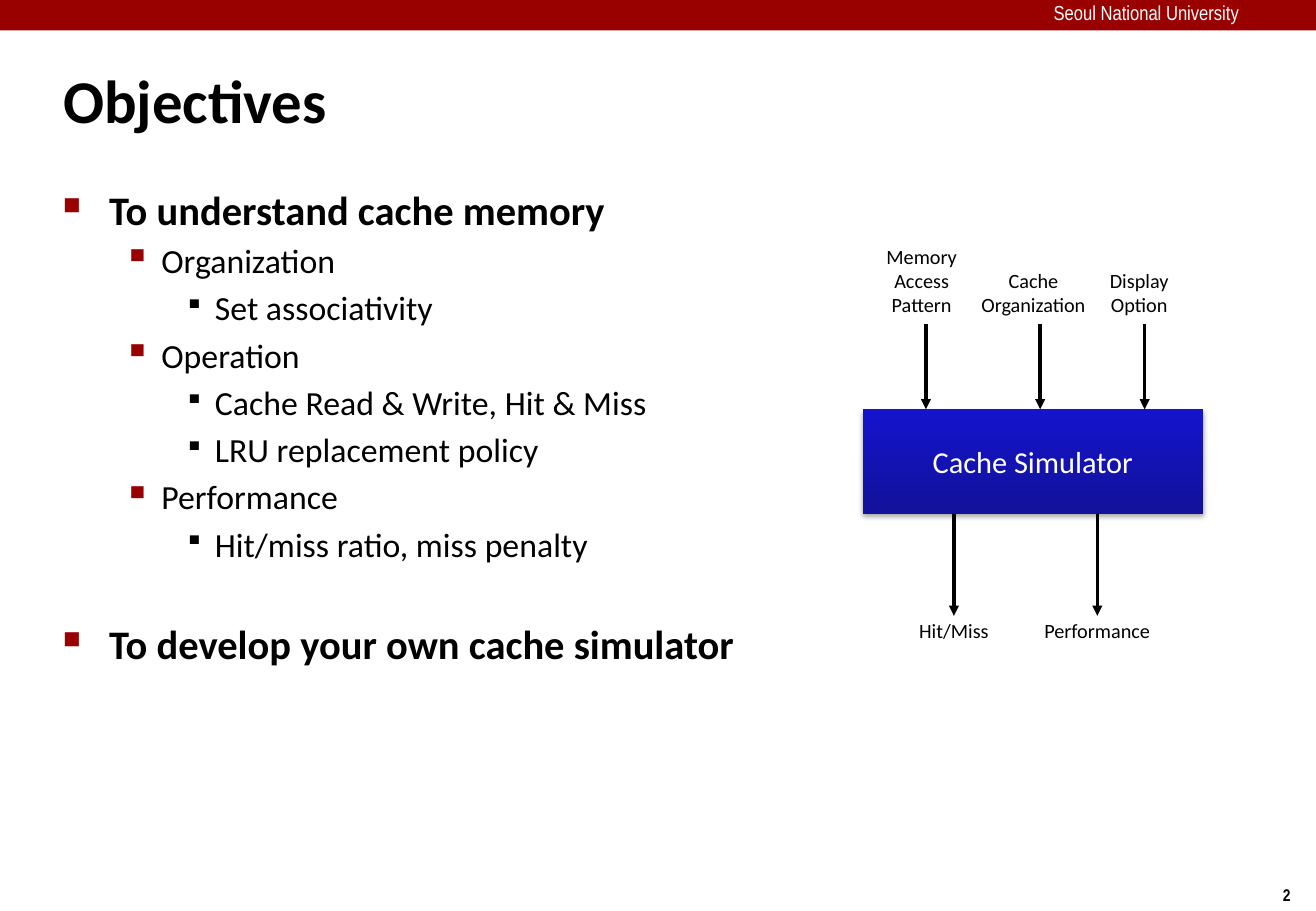
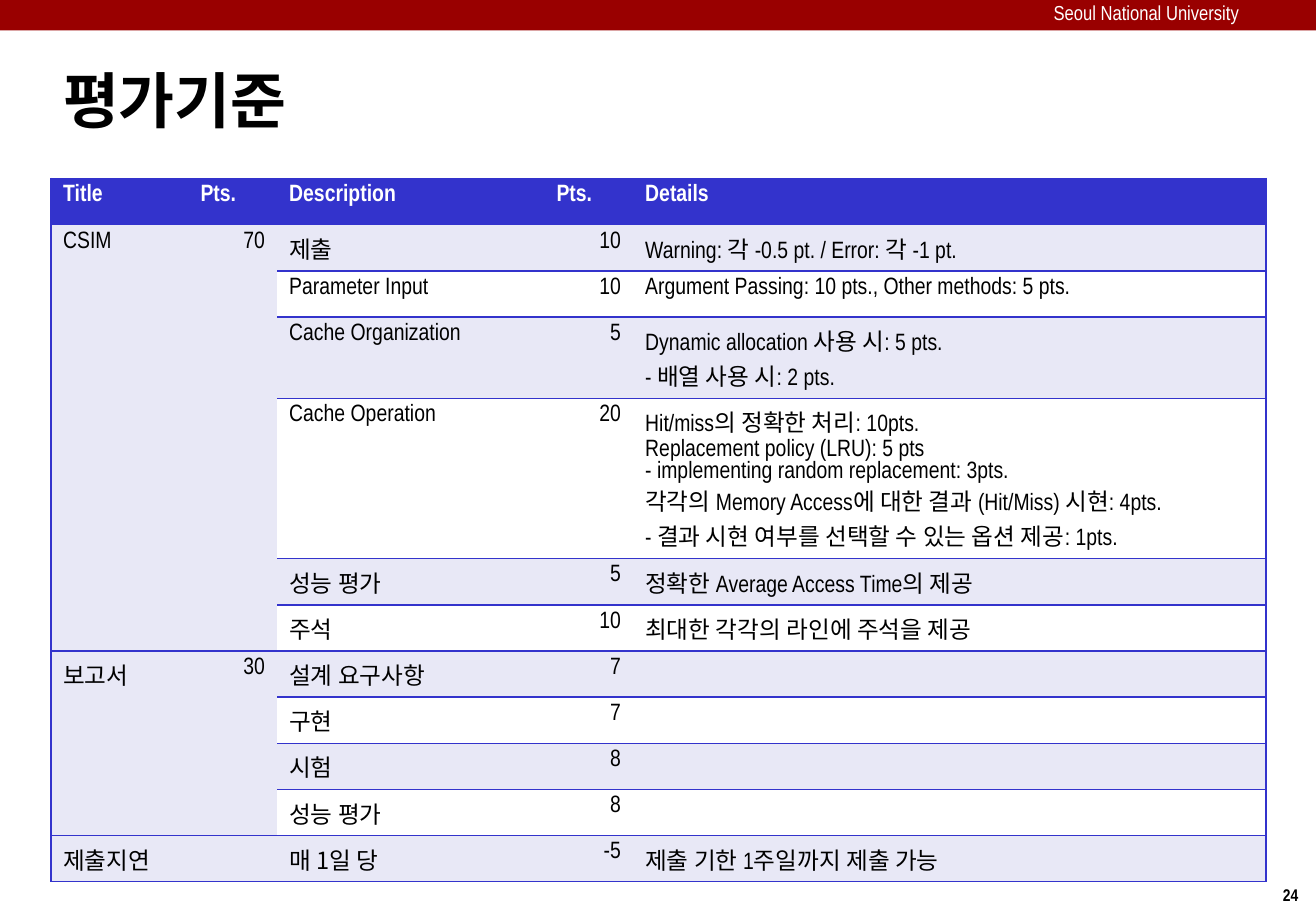
from dataclasses import dataclass

from lxml import etree
from pptx import Presentation
from pptx.dml.color import RGBColor
from pptx.enum.shapes import MSO_CONNECTOR, MSO_SHAPE
from pptx.enum.text import MSO_ANCHOR, PP_ALIGN
from pptx.oxml.ns import qn
from pptx.slide import Slide
from pptx.util import Inches, Pt

RECT = MSO_SHAPE.RECTANGLE
LINE = MSO_CONNECTOR.STRAIGHT
LEFT, MID, RIGHT = PP_ALIGN.LEFT, PP_ALIGN.CENTER, PP_ALIGN.RIGHT
TOP, CENTER = MSO_ANCHOR.TOP, MSO_ANCHOR.MIDDLE

RED, BLACK, WHITE = "990000", "000000", "FFFFFF"
BLUE, TINT = "3333CC", "E8E8F6"
DARK, LIGHT = "12129A", "1414CC"
SANS, SLIM, HANGUL = "Calibri", "Arial Narrow", "Noto Sans CJK KR"


@dataclass
class Look:
    size: float
    face: str = SANS
    tone: str = BLACK
    bold: bool = False
    align: PP_ALIGN = LEFT


@dataclass
class Level:
    look: Look
    left: float
    hang: float
    mark: str
    tone: str
    scale: int


@dataclass
class Item:
    level: int
    text: str
    gap: float = 4


@dataclass
class Label:
    x: float
    y: float
    w: float
    h: float
    text: str


@dataclass
class Arrow:
    x: float
    top: float
    end: float


def color(tone: str) -> RGBColor:
    return RGBColor.from_string(tone)


def node(root, tag: str, **attrs):
    return etree.SubElement(root, qn(tag), {k: str(v) for k, v in attrs.items()})


def style(para, look: Look) -> None:
    para.alignment = look.align
    font = para.font
    font.size, font.bold, font.name = Pt(look.size), look.bold, look.face
    font.color.rgb = color(look.tone)
    node(para._p.pPr.find(qn("a:defRPr")), "a:ea", typeface=HANGUL)


def write(frame, text: str, look: Look) -> None:
    frame.text = text
    for para in frame.paragraphs:
        style(para, look)


def add_text(slide: Slide, box: Label, look: Look, wrap: bool = False,
             anchor: MSO_ANCHOR = TOP, pad: bool = True) -> None:
    shape = slide.shapes.add_textbox(*map(Inches, (box.x, box.y, box.w, box.h)))
    frame = shape.text_frame
    frame.word_wrap = wrap
    frame.vertical_anchor = anchor
    if not pad:
        frame.margin_left = frame.margin_right = 0
        frame.margin_top = frame.margin_bottom = 0
    write(frame, box.text, look)


# Shared band, title and page number
def add_page(deck, title: str, number: int) -> Slide:
    slide = deck.slides.add_slide(deck.slide_layouts[6])
    band = slide.shapes.add_shape(RECT, 0, 0, deck.slide_width, Inches(0.25))
    band.shadow.inherit = False
    band.fill.solid()
    band.fill.fore_color.rgb = color(RED)
    band.line.fill.background()
    add_text(slide, Label(10.46, 7.23, 0.34, 0.27, str(number)),
             Look(10, SLIM, bold=True))
    add_text(slide, Label(8.67, 0, 2.18, 0.22, "Seoul National University"),
             Look(12, SLIM, WHITE), wrap=True, pad=False)
    add_text(slide, Label(0.42, 0.4, 8.99, 0.83, title),
             Look(36, bold=True), wrap=True, anchor=CENTER)
    return slide


# Bulleted outline
LEVELS = [
    Level(Look(24, bold=True), 0.38, 0.38, "■", RED, 60),
    Level(Look(20), 0.81, 0.31, "▪", RED, 110),
    Level(Look(20), 1.25, 0.25, "▪", BLACK, 80),
]
ITEMS = [
    Item(0, "To understand cache memory", 0),
    Item(1, "Organization"),
    Item(2, "Set associativity"),
    Item(1, "Operation"),
    Item(2, "Cache Read & Write, Hit & Miss"),
    Item(2, "LRU replacement policy"),
    Item(1, "Performance"),
    Item(2, "Hit/miss ratio, miss penalty"),
    Item(0, "To develop your own cache simulator", 32.5),
]


def add_list(slide: Slide, items: list[Item]) -> None:
    box = slide.shapes.add_textbox(Inches(0.42), Inches(1.47), Inches(10), Inches(5.46))
    frame = box.text_frame
    frame.word_wrap = True
    frame.text = "\n".join(item.text for item in items)
    for para, item in zip(frame.paragraphs, items):
        level = LEVELS[item.level]
        para.level = item.level
        para.space_before = Pt(item.gap)
        props = para._p.get_or_add_pPr()
        props.set("marL", str(Inches(level.left)))
        props.set("indent", str(-Inches(level.hang)))
        node(node(props, "a:buClr"), "a:srgbClr", val=level.tone)
        node(props, "a:buSzPct", val=level.scale * 1000)
        node(props, "a:buChar", char=level.mark)
        style(para, level.look)


# Simulator diagram
LABELS = [
    Label(7.19, 1.96, 0.79, 0.71, "Memory\nAccess\nPattern"),
    Label(7.97, 2.16, 1.07, 0.5, "Cache\nOrganization"),
    Label(9.03, 2.16, 0.69, 0.5, "Display\nOption"),
    Label(7.46, 5.04, 0.78, 0.3, "Hit/Miss"),
    Label(8.49, 5.04, 1.08, 0.3, "Performance"),
]
ARROWS = [Arrow(x, 2.67, 3.37) for x in (7.62, 8.56, 9.42)]
ARROWS += [Arrow(x, 4.23, 5.07) for x in (7.85, 9.03)]


def add_block(slide: Slide) -> None:
    block = slide.shapes.add_shape(RECT, Inches(7.1), Inches(3.37), Inches(2.8), Inches(0.86))
    block.fill.gradient()
    block.fill.gradient_angle = 90
    for stop, tone in zip(block.fill.gradient_stops, (DARK, LIGHT)):
        stop.color.rgb = color(tone)
    block.line.fill.background()
    block.shadow.inherit = False
    glow = node(block._element.spPr.find(qn("a:effectLst")), "a:outerShdw",
                blurRad=Pt(3.1), dist=Pt(1.8), dir=5400000, rotWithShape=0)
    node(node(glow, "a:srgbClr", val=BLACK), "a:alpha", val=35000)
    block.text_frame.vertical_anchor = CENTER
    write(block.text_frame, "Cache Simulator", Look(18, tone=WHITE, align=MID))


def add_arrow(slide: Slide, arrow: Arrow) -> None:
    x = Inches(arrow.x)
    link = slide.shapes.add_connector(LINE, x, Inches(arrow.top), x, Inches(arrow.end))
    link.line.width = Pt(2)
    link.line.color.rgb = color(BLACK)
    props = link._element.spPr
    node(props.find(qn("a:ln")), "a:tailEnd", type="triangle")
    node(props, "a:effectLst")


# Grading table
COLS = [1.13, 0.73, 2.2, 0.73, 5.21]
TALL = {3: 0.67, 4: 1.32}
SPANS = [(1, 6), (7, 10)]
ROWS = [
    ("Title", "Pts.", "Description", "Pts.", "Details"),
    ("CSIM", "70", "제출", "10", "Warning: 각 -0.5 pt. / Error: 각 -1 pt."),
    ("", "", "Parameter Input", "10", "Argument Passing: 10 pts., Other methods: 5 pts."),
    ("", "", "Cache Organization", "5",
     "Dynamic allocation 사용 시: 5 pts.\n- 배열 사용 시: 2 pts."),
    ("", "", "Cache Operation", "20",
     "Hit/miss의 정확한 처리: 10pts.\nReplacement policy (LRU): 5 pts\n"
     "- implementing random replacement: 3pts.\n"
     "각각의 Memory Access에 대한 결과 (Hit/Miss) 시현: 4pts.\n"
     "- 결과 시현 여부를 선택할 수 있는 옵션 제공: 1pts."),
    ("", "", "성능 평가", "5", "정확한 Average Access Time의 제공"),
    ("", "", "주석", "10", "최대한 각각의 라인에 주석을 제공"),
    ("보고서", "30", "설계 요구사항", "7", ""),
    ("", "", "구현", "7", ""),
    ("", "", "시험", "8", ""),
    ("", "", "성능 평가", "8", ""),
    ("제출지연", "", "매 1일 당", "-5", "제출 기한 1주일까지 제출 가능"),
]


def set_edges(cell, shown: dict[str, bool]) -> None:
    props = cell._tc.get_or_add_tcPr()
    for spot, (side, show) in enumerate(shown.items()):
        edge = node(props, f"a:ln{side}", w=Pt(1))
        if show:
            node(node(edge, "a:solidFill"), "a:srgbClr", val=BLUE)
        else:
            node(edge, "a:noFill")
        props.insert(spot, edge)


def fill_cell(cell, row: int, col: int, text: str) -> None:
    head = row == 0
    korean = col in (0, 2) and any(mark >= "가" for mark in text)
    look = Look(14, HANGUL if korean else SLIM, WHITE if head else BLACK, head,
                RIGHT if col in (1, 3) and not head else LEFT)
    write(cell.text_frame, text, look)
    if not text:
        node(cell.text_frame.paragraphs[0]._p, "a:endParaRPr", sz=1400)
    cell.fill.solid()
    tint = TINT if col < 2 or row % 2 else WHITE
    cell.fill.fore_color.rgb = color(BLUE if head else tint)
    ruled = not cell.is_spanned
    set_edges(cell, {"L": col == 0, "R": col == len(COLS) - 1, "T": ruled, "B": ruled})


def add_grid(slide: Slide) -> None:
    highs = [TALL.get(row, 0.38) for row in range(len(ROWS))]
    frame = slide.shapes.add_table(len(ROWS), len(COLS), Inches(0.42), Inches(1.47),
                                   Inches(sum(COLS)), Inches(sum(highs)))
    table = frame.table
    for col, wide in zip(table.columns, COLS):
        col.width = Inches(wide)
    for row, high in zip(table.rows, highs):
        row.height = Inches(high)
    for first, last in SPANS:
        for col in (0, 1):
            table.cell(first, col).merge(table.cell(last, col))
    for row, texts in enumerate(ROWS):
        for col, text in enumerate(texts):
            fill_cell(table.cell(row, col), row, col, text)


# Build both slides
deck = Presentation()
deck.slide_width, deck.slide_height = Inches(10.83), Inches(7.5)

goals = add_page(deck, "Objectives", 2)
add_list(goals, ITEMS)
add_block(goals)
for label in LABELS:
    add_text(goals, label, Look(12, align=MID))
for arrow in ARROWS:
    add_arrow(goals, arrow)

add_grid(add_page(deck, "평가기준", 24))
deck.save("out.pptx")
